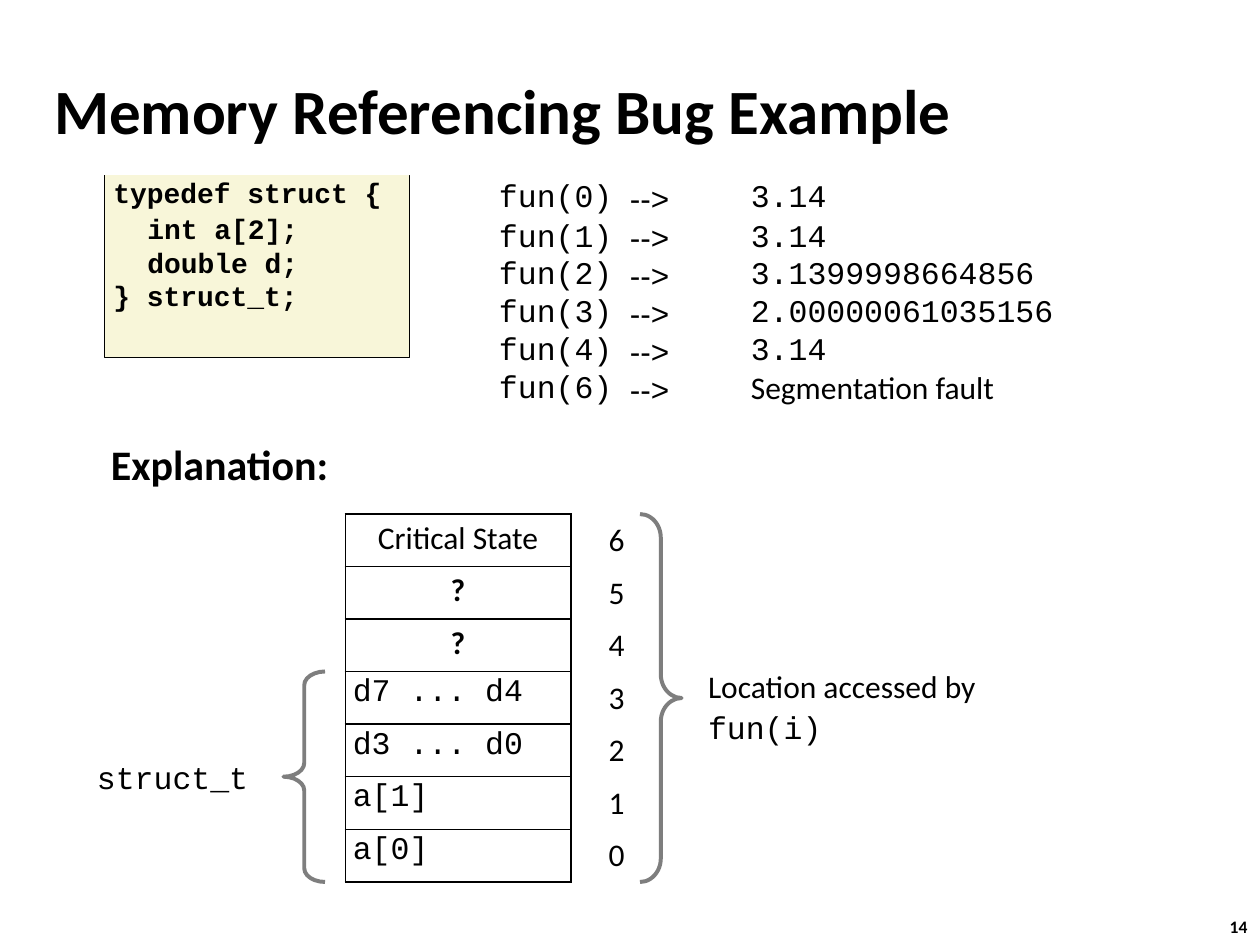
from dataclasses import dataclass
from typing import Any

from lxml.etree import SubElement
from pptx import Presentation
from pptx.dml.color import RGBColor
from pptx.enum.shapes import MSO_SHAPE as Shape
from pptx.enum.text import PP_ALIGN as Align
from pptx.oxml.ns import qn
from pptx.util import Inches, Pt

COLORS = {"ink": "000000", "code": "F8F6D9", "brace": "7E7E7E"}
SANS, MONO, ARROW = "Calibri", "Courier New", "Arial"
NO_STYLE = "{2D5ABB26-0587-4C30-8999-92F81FD0307C}"
COLUMNS, ROWS = 100, 75


def color(name):
    return RGBColor.from_string(COLORS[name])


@dataclass
class SlideBuilder:
    presentation: Any
    slide: Any

    def across(self, columns):
        return round(self.presentation.slide_width * columns / COLUMNS)

    def down(self, rows):
        return round(self.presentation.slide_height * rows / ROWS)

    def place(self, left, top, width, height):
        return self.across(left), self.down(top), self.across(width), self.down(height)

    def style(self, paragraph, text, font=SANS, size=18, bold=False, align=Align.LEFT, leading=None):
        paragraph.text = text
        paragraph.alignment = align
        if leading:
            paragraph.line_spacing = Pt(leading)
        paragraph.font.name = font
        paragraph.font.size = Pt(size)
        paragraph.font.bold = bold
        paragraph.font.color.rgb = color("ink")

    def text(self, box, lines, top=0.01, gap=0, **look):
        frame = self.slide.shapes.add_textbox(*self.place(*box)).text_frame
        frame.word_wrap = True
        frame.margin_left = Inches(0.01)
        frame.margin_right = frame.margin_bottom = 0
        frame.margin_top = Inches(top)
        for index, (line, font) in enumerate(lines):
            paragraph = frame.add_paragraph() if index else frame.paragraphs[0]
            if index:
                paragraph.space_before = Pt(gap)
            self.style(paragraph, line, font, **look)

    def shape(self, kind, box, line, width, fill=None, bend=None):
        shape = self.slide.shapes.add_shape(kind, *self.place(*box))
        shape.shadow.inherit = False
        if fill:
            shape.fill.solid()
            shape.fill.fore_color.rgb = color(fill)
        else:
            shape.fill.background()
        shape.line.color.rgb = color(line)
        shape.line.width = Pt(width)
        if bend:
            shape.adjustments[0] = bend

    def table(self, left, top, widths, heights):
        box = self.place(left, top, sum(widths), sum(heights))
        frame = self.slide.shapes.add_table(len(heights), len(widths), *box)
        for style in frame.element.iter(qn("a:tableStyleId")):
            style.text = NO_STYLE
        table = frame.table
        table.first_row = table.horz_banding = False
        for column, width in zip(table.columns, widths):
            column.width = self.across(width)
        for row, height in zip(table.rows, heights):
            row.height = self.down(height)
        return table

    def cell(self, cell, text, left=0, right=0, top=0, fill=None, border=None, **look):
        cell.margin_left, cell.margin_right = Inches(left), Inches(right)
        cell.margin_top, cell.margin_bottom = Inches(top), 0
        if border:
            properties = cell._tc.get_or_add_tcPr()
            for side in ("a:lnL", "a:lnR", "a:lnT", "a:lnB"):
                line = SubElement(properties, qn(side), w=str(Pt(border)))
                solid = SubElement(line, qn("a:solidFill"))
                SubElement(solid, qn("a:srgbClr"), val=COLORS["ink"])
        if fill:
            cell.fill.solid()
            cell.fill.fore_color.rgb = color(fill)
        else:
            cell.fill.background()
        self.style(cell.text_frame.paragraphs[0], text, **look)


def main():
    presentation = Presentation()
    presentation.slide_width, presentation.slide_height = Inches(10), Inches(7.5)
    slide = presentation.slides.add_slide(presentation.slide_layouts[6])
    builder = SlideBuilder(presentation, slide)

    builder.text((4.2, 5.6, 71.8, 6.3), [("Memory Referencing Bug Example", SANS)], size=36, bold=True)

    builder.shape(Shape.RECTANGLE, (8.3, 13.9, 24.2, 14.5), "ink", 0.48, fill="code")
    code = [
        ("typedef struct {", 0.07, None),
        ("int a[2];", 0.34, 14.9),
        ("double d;", 0.34, 12.5),
        ("} struct_t;", 0.07, 10.1),
    ]
    calls = [
        (0, "3.14"),
        (1, "3.14"),
        (2, "3.1399998664856"),
        (3, "2.00000061035156"),
        (4, "3.14"),
        (6, "Segmentation fault"),
    ]
    results = builder.table(8.3, 13.9, [24.2, 16.8, 7.1, 27.5], [3.7] + [3] * 5)
    for row, (argument, result) in enumerate(calls):
        leading, top = (19.9, 0) if row else (None, 0.05)
        if row < len(code):
            text, indent, code_leading = code[row]
            builder.cell(results.cell(row, 0), text, left=indent, top=0 if row else 0.04,
                         fill="code", font=MONO, size=16, bold=True, leading=code_leading)
        else:
            builder.cell(results.cell(row, 0), "", size=10)
        look = {"top": top, "leading": leading}
        builder.cell(results.cell(row, 1), f"fun({argument})", right=0.07, font=MONO,
                     align=Align.RIGHT, **look)
        builder.cell(results.cell(row, 2), "-->", left=0.07, font=ARROW, **look)
        result_font = MONO if result[0].isdigit() else SANS
        builder.cell(results.cell(row, 3), result, left=0.32, font=result_font, **look)

    builder.text((8.7, 34.7, 17.6, 4.3), [("Explanation:", SANS)], size=24, bold=True)

    memory = ["Critical State", "?", "?", "d7 ... d4", "d3 ... d0", "a[1]", "a[0]"]
    stack = builder.table(27.4, 40.8, [17.9], [29.2 / len(memory)] * len(memory))
    for row, content in enumerate(memory):
        if row < 3:
            look = {"top": 0.04, "bold": content == "?", "align": Align.CENTER}
        else:
            look = {"left": 0.06, "top": 0.03, "font": MONO}
        builder.cell(stack.cell(row, 0), content, border=1, **look)

    indexes = [(str(index), SANS) for index in reversed(range(len(memory)))]
    builder.text((48.2, 40, 1.5, 29.5), indexes, top=0.13, gap=8.4)

    builder.shape(Shape.RIGHT_BRACE, (50.8, 40.8, 3.3, 29.2), "brace", 2.28, bend=0.57)
    builder.shape(Shape.LEFT_BRACE, (22.5, 53.3, 3.3, 16.7), "brace", 2.28, bend=0.33)
    builder.text((56.1, 52.5, 22, 6.8), [("Location accessed by", SANS), ("fun(i)", MONO)],
                 top=0.04, gap=1.8)
    builder.text((7.6, 60.1, 12.4, 3.3), [("struct_t", MONO)])
    builder.text((97.5, 72.9, 2, 1.7), [("14", SANS)], top=0, size=10, bold=True, leading=10.4)

    presentation.save("out.pptx")


if __name__ == "__main__":
    main()
